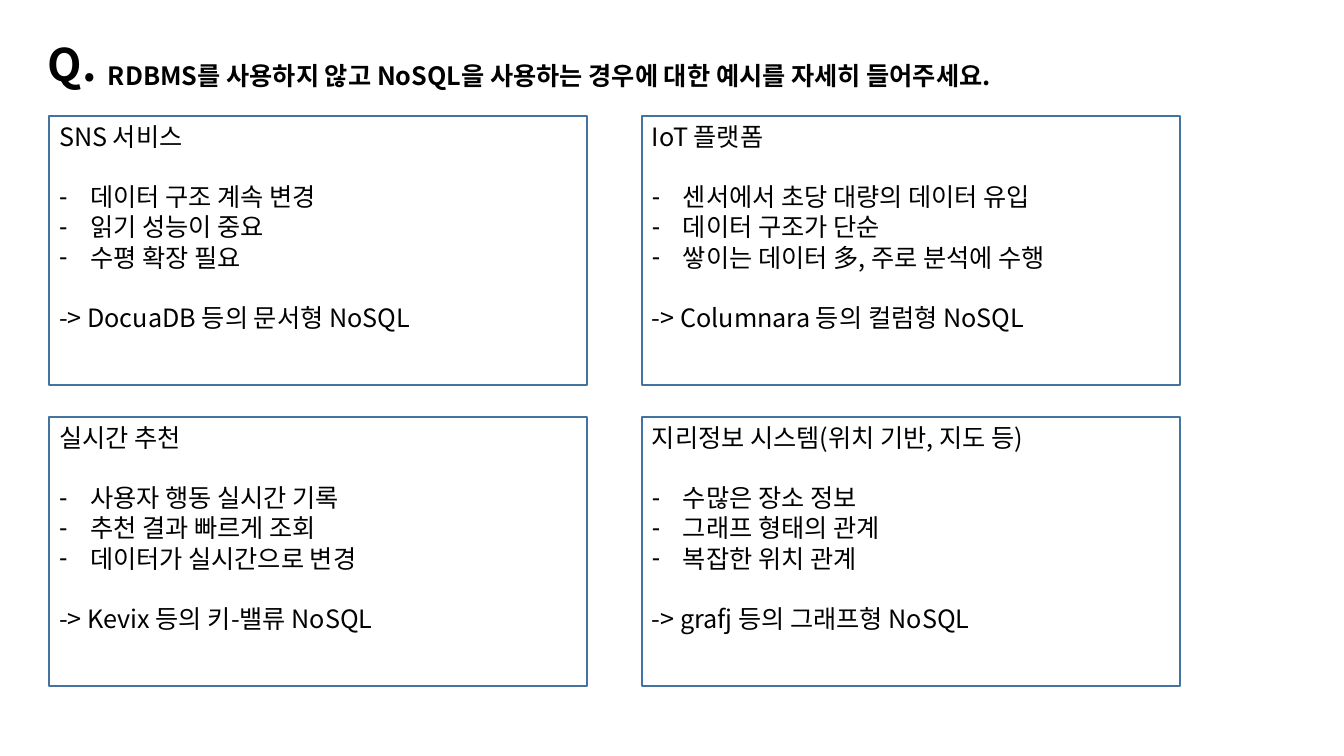
from lxml import etree
from pptx import Presentation
from pptx import util as u
from pptx.dml.color import RGBColor
from pptx.enum import shapes, text
from pptx.oxml import ns

PX = 914400 / 100.8
FONT = "Noto Sans CJK KR"
COLORS = {"text": "000000", "border": "43739E"}
BODY_SIZE = 18
MARK_SIZE = 32
LINE_RATIO = 1.2
BULLET_INDENT = 31

QUESTION = "RDBMS를 사용하지 않고 NoSQL을 사용하는 경우에 대한 예시를 자세히 들어주세요."
# heading, traits, recommended database
USE_CASES = [
    ("SNS 서비스",
     ["데이터 구조 계속 변경", "읽기 성능이 중요", "수평 확장 필요"],
     "-> DocuaDB 등의 문서형 NoSQL"),
    ("IoT 플랫폼",
     ["센서에서 초당 대량의 데이터 유입", "데이터 구조가 단순", "쌓이는 데이터 多, 주로 분석에 수행"],
     "-> Columnara 등의 컬럼형 NoSQL"),
    ("실시간 추천",
     ["사용자 행동 실시간 기록", "추천 결과 빠르게 조회", "데이터가 실시간으로 변경"],
     "-> Kevix 등의 키-밸류 NoSQL"),
    ("지리정보 시스템(위치 기반, 지도 등)",
     ["수많은 장소 정보", "그래프 형태의 관계", "복잡한 위치 관계"],
     "-> grafj 등의 그래프형 NoSQL"),
]


def px(length):
    return u.Emu(round(length * PX))


def color(name):
    return RGBColor.from_string(COLORS[name])


def place(shape, left, top, width, height):
    shape.left, shape.top = px(left), px(top)
    shape.width, shape.height = px(width), px(height)


def prepare_frame(shape):
    frame = shape.text_frame
    frame.word_wrap = True
    frame.auto_size = text.MSO_AUTO_SIZE.NONE
    frame.vertical_anchor = text.MSO_ANCHOR.TOP
    frame.margin_left = frame.margin_right = px(10)
    frame.margin_top = frame.margin_bottom = px(5)
    return frame


def write(paragraph, words, size=BODY_SIZE, bold=False, bullet=None, gap_lines=0):
    line_height = u.Pt(size * LINE_RATIO)
    paragraph.alignment = text.PP_ALIGN.LEFT
    paragraph.line_spacing = line_height
    paragraph.space_before = u.Emu(line_height * gap_lines)
    paragraph.space_after = u.Pt(0)

    # Bullet and hanging indent
    properties = paragraph._p.get_or_add_pPr()
    indent = px(BULLET_INDENT) if bullet else 0
    properties.set("marL", str(indent))
    properties.set("indent", str(-indent))
    if bullet:
        etree.SubElement(properties, ns.qn("a:buChar")).set("char", bullet)
    else:
        etree.SubElement(properties, ns.qn("a:buNone"))

    run = paragraph.add_run()
    run.text = words
    run.font.size = u.Pt(size)
    run.font.bold = bold
    run.font.color.rgb = color("text")
    run.font.name = FONT
    east_asian = etree.SubElement(run._r.get_or_add_rPr(), ns.qn("a:ea"))
    east_asian.set("typeface", FONT)


def add_question(slide, left, top, width):
    # Large mark
    mark = slide.shapes.add_textbox(0, 0, 0, 0)
    place(mark, left, top, 699, 65)
    write(prepare_frame(mark).paragraphs[0], "Q.", MARK_SIZE, bold=True)

    # Question as the slide title
    title = slide.shapes.title
    place(title, left + 60, top + 23, width - 60, 40)
    write(prepare_frame(title).paragraphs[0], QUESTION, bold=True)


def add_use_case(slide, body, use_case, left, top, width, height):
    heading, traits, database = use_case

    # Frame
    frame_box = slide.shapes.add_shape(
        shapes.MSO_SHAPE.RECTANGLE, px(left), px(top), px(width), px(height))
    frame_box.shadow.inherit = False
    frame_box.fill.background()
    frame_box.line.color.rgb = color("border")
    frame_box.line.width = u.Pt(1)

    # Heading, list and conclusion
    place(body, left, top, width, 224)
    frame = prepare_frame(body)
    write(frame.paragraphs[0], heading)
    for index, trait in enumerate(traits):
        write(frame.add_paragraph(), trait, bullet="-", gap_lines=int(index == 0))
    write(frame.add_paragraph(), database, gap_lines=1)


def add_use_case_grid(slide, left, top, width, height, gap_x, gap_y):
    card_width = (width - gap_x) // 2
    card_height = (height - gap_y) // 2
    bodies = [shape for shape in slide.placeholders if shape != slide.shapes.title]
    for index, (body, use_case) in enumerate(zip(bodies, USE_CASES)):
        row, column = divmod(index, 2)
        add_use_case(slide, body, use_case,
                     left + column * (card_width + gap_x),
                     top + row * (card_height + gap_y),
                     card_width, card_height)


def main():
    presentation = Presentation()
    presentation.slide_width, presentation.slide_height = px(1344), px(756)
    # Comparison layout: a title and four bodies
    slide = presentation.slides.add_slide(presentation.slide_layouts[4])
    add_question(slide, 38, 32, 1243)
    add_use_case_grid(slide, 49, 116, 1131, 570, gap_x=55, gap_y=32)
    presentation.save("out.pptx")


if __name__ == "__main__":
    main()
